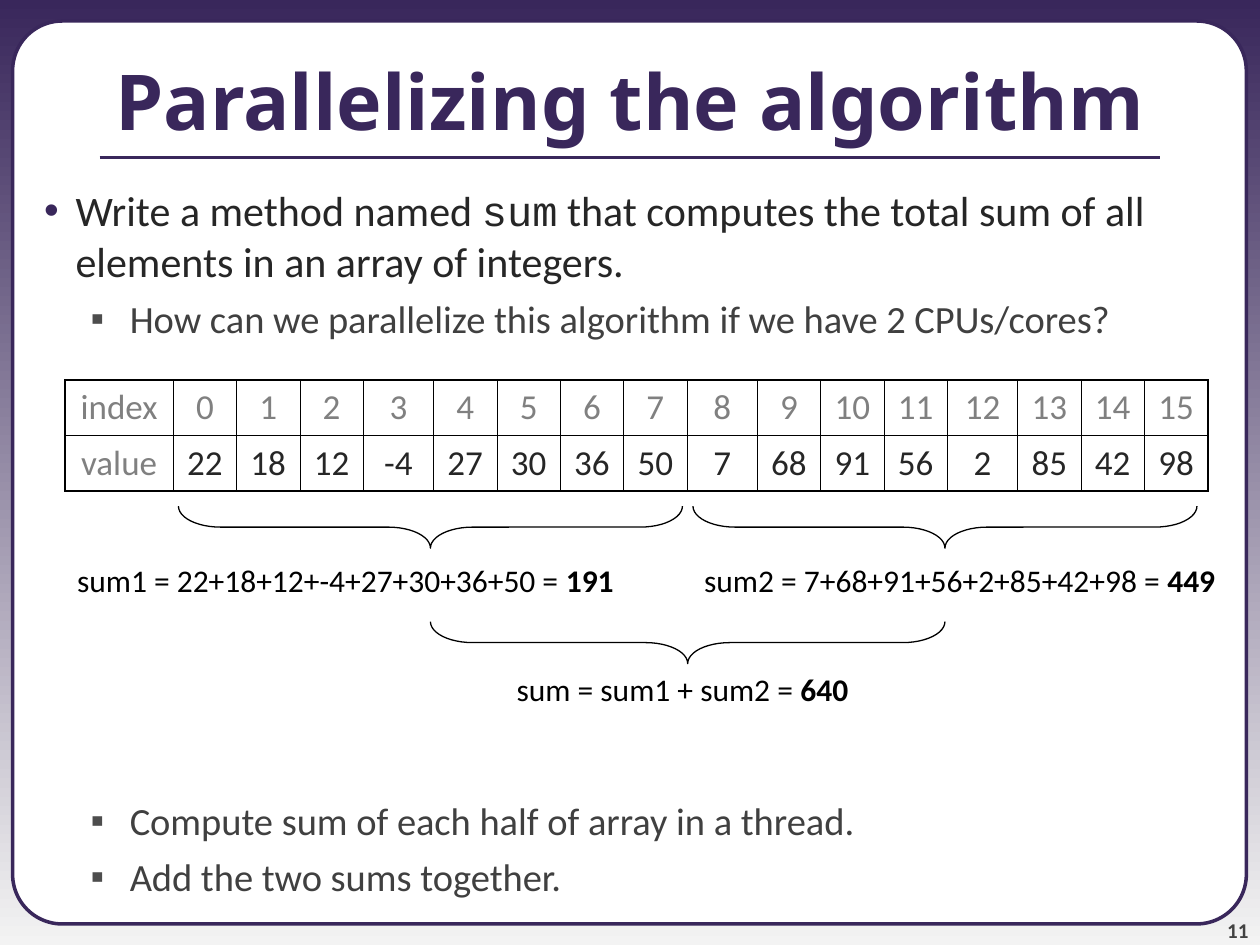
"""Build a slide that shows how an array sum is split between two threads."""
from dataclasses import dataclass

import lxml.etree
import pptx
import pptx.dml.color
import pptx.enum.shapes
import pptx.enum.text
import pptx.oxml.ns
import pptx.util

COLUMNS, ROWS = 120, 90
UNIT = pptx.util.Inches(10) / COLUMNS
COLORS = {
    "purple": "39275B", "pale": "F3F3F3", "white": "FFFFFF", "black": "000000",
    "dark": "262626", "medium": "404040", "number": "424242",
    "bullet": "4D4D4D", "gray": "808080",
}
VALUES = [22, 18, 12, -4, 27, 30, 36, 50, 7, 68, 91, 56, 2, 85, 42, 98]
WIDE_INDEXES = {3, 8, 12}
THIN, THICK = 0.45, 1.08
ALIGN = pptx.enum.text.PP_ALIGN
ANCHOR = pptx.enum.text.MSO_ANCHOR
AUTO_SIZE = pptx.enum.text.MSO_AUTO_SIZE
SHAPE = pptx.enum.shapes.MSO_SHAPE


@dataclass(frozen=True)
class Box:
    left: float
    top: float
    width: float
    height: float

    def lengths(self) -> list[int]:
        return [grid(value) for value in (self.left, self.top, self.width, self.height)]


@dataclass(frozen=True)
class BulletLevel:
    symbol: str
    symbol_color: str
    text_color: str
    size: float
    margin: float
    hanging: float


@dataclass(frozen=True)
class SumLabel:
    box: Box
    formula: str
    result: int


LEVELS = [
    BulletLevel("•", "purple", "dark", 24, 0.5, 0.25),
    BulletLevel("▪", "bullet", "medium", 22, 0.93, 0.31),
]
BRACES = [Box(17, 48.2, 48, 4), Box(66, 48.2, 48, 4), Box(41, 59.2, 49, 4)]
LABELS = [
    SumLabel(Box(5.9, 52.8, 54, 4.8), "sum1 = 22+18+12+-4+27+30+36+50 = ", 191),
    SumLabel(Box(65.4, 52.8, 52, 4.8), "sum2 = 7+68+91+56+2+85+42+98 = ", 449),
    SumLabel(Box(47.5, 63.2, 35, 4.8), "sum = sum1 + sum2 = ", 640),
]


def grid(units: float) -> int:
    return round(units * UNIT)


def rgb(name: str) -> pptx.dml.color.RGBColor:
    return pptx.dml.color.RGBColor.from_string(COLORS[name])


def write(paragraph, text: str, *, size: float, color: str, font: str = "Calibri",
          bold: bool = False, align=None, before: float = 0) -> None:
    paragraph.space_before = pptx.util.Pt(before)
    if align is not None:
        paragraph.alignment = align
    run = paragraph.add_run()
    run.text = text
    run.font.size = pptx.util.Pt(size)
    run.font.name = font
    run.font.bold = bold
    run.font.color.rgb = rgb(color)


def add_xml(parent, tag: str, **attributes: str):
    return lxml.etree.SubElement(parent, pptx.oxml.ns.qn(tag), attributes)


def place(shape, box: Box) -> None:
    shape.left, shape.top, shape.width, shape.height = box.lengths()


def add_background(slide) -> None:
    fill = slide.background.fill
    fill.gradient()
    fill.gradient_angle = 270
    for stop, position, color in zip(fill.gradient_stops, (0, 1), ("purple", "pale")):
        stop.position = position
        stop.color.rgb = rgb(color)


def add_frame(slide) -> None:
    panel = slide.shapes.add_shape(SHAPE.ROUNDED_RECTANGLE, *Box(1.2, 2, 117.5, 86).lengths())
    panel.adjustments[0] = 0.055
    panel.shadow.inherit = False
    panel.fill.solid()
    panel.fill.fore_color.rgb = rgb("white")
    panel.line.color.rgb = rgb("purple")
    panel.line.width = pptx.util.Pt(2)

    number = slide.shapes.add_textbox(*Box(109, 85, 9.9, 4.8).lengths()).text_frame
    number.margin_left = number.margin_right = number.margin_top = number.margin_bottom = 0
    number.word_wrap = True
    number.vertical_anchor = ANCHOR.BOTTOM
    write(number.paragraphs[0], "11", size=12, color="number", bold=True,
          align=ALIGN.RIGHT, before=5)

    rule = slide.shapes.add_connector(pptx.enum.shapes.MSO_CONNECTOR.STRAIGHT,
                                      grid(9.5), grid(15), grid(110.5), grid(15))
    rule.line.color.rgb = rgb("purple")
    rule.line.width = pptx.util.Pt(2.25)
    add_xml(rule._element.spPr, "a:effectLst")


def add_title(title) -> None:
    place(title, Box(0, 2, COLUMNS, 15))
    title.text_frame.vertical_anchor = ANCHOR.MIDDLE
    title.text_frame.auto_size = AUTO_SIZE.NONE
    write(title.text_frame.paragraphs[0], "Parallelizing the algorithm", size=44,
          color="purple", font="Noto Sans", bold=True, align=ALIGN.CENTER)


def add_bullet(paragraph, depth: int, parts: list[tuple[str, str]], before: float) -> None:
    level = LEVELS[depth]
    paragraph.level = depth
    for text, font in parts:
        write(paragraph, text, size=level.size, color=level.text_color, font=font, before=before)
    properties = paragraph._p.get_or_add_pPr()
    properties.set("marL", str(pptx.util.Inches(level.margin)))
    properties.set("indent", str(-pptx.util.Inches(level.hanging)))
    add_xml(add_xml(properties, "a:buClr"), "a:srgbClr", val=COLORS[level.symbol_color])
    add_xml(properties, "a:buChar", char=level.symbol)


def add_body(body) -> None:
    place(body, Box(0, 17, COLUMNS, ROWS - 17))
    frame = body.text_frame
    frame.auto_size = AUTO_SIZE.NONE
    add_bullet(frame.paragraphs[0], 0, [
        ("Write a method named ", "Calibri"), ("sum", "Courier New"),
        (" that computes the total sum of all elements in an array of integers.", "Calibri"),
    ], before=6)
    for text, before in [
        ("How can we parallelize this algorithm if we have 2 CPUs/cores?", 5.5),
        ("Compute sum of each half of array in a thread.", 260.5),
        ("Add the two sums together.", 5.5),
    ]:
        add_bullet(frame.add_paragraph(), 1, [(text, "Calibri")], before)


def set_borders(cell, widths: dict[str, float]) -> None:
    properties = cell._tc.get_or_add_tcPr()
    for side, width in widths.items():
        line = add_xml(properties, f"a:ln{side}", w=str(pptx.util.Pt(width)))
        add_xml(add_xml(line, "a:solidFill"), "a:srgbClr", val=COLORS["black"])
    cell.fill.background()


def add_array_table(slide) -> None:
    rows = [["index", *range(len(VALUES))], ["value", *VALUES]]
    last = len(VALUES)
    box = Box(6.2, 36.2, 108.84, 10.5)
    first, wide = 10.3, 6.7
    narrow = (box.width - first - wide * len(WIDE_INDEXES)) / (last - len(WIDE_INDEXES))
    table = slide.shapes.add_table(len(rows), last + 1, *box.lengths()).table
    table.first_row = table.horz_banding = False
    widths = [first] + [wide if index in WIDE_INDEXES else narrow for index in range(last)]
    for column, width in zip(table.columns, widths):
        column.width = grid(width)
    for row, entries in enumerate(rows):
        for column, entry in enumerate(entries):
            cell = table.cell(row, column)
            write(cell.text_frame.paragraphs[0], str(entry), size=20, align=ALIGN.CENTER,
                  color="dark" if row and column else "gray", before=5)
            edges = {"L": column == 0, "R": column == last, "T": row == 0, "B": row == 1}
            set_borders(cell, {side: THICK if outer else THIN for side, outer in edges.items()})


def add_brace(slide, box: Box) -> None:
    upright = Box(box.left + (box.width - box.height) / 2,
                  box.top + (box.height - box.width) / 2, box.height, box.width)
    brace = slide.shapes.add_shape(SHAPE.LEFT_BRACE, *upright.lengths())
    brace.rotation = 270
    brace.adjustments[0] = 1
    brace.shadow.inherit = False
    brace.fill.background()
    brace.line.color.rgb = rgb("black")
    brace.line.width = pptx.util.Pt(0.75)


def add_label(slide, label: SumLabel) -> None:
    frame = slide.shapes.add_textbox(*label.box.lengths()).text_frame
    frame.word_wrap = False
    frame.auto_size = AUTO_SIZE.SHAPE_TO_FIT_TEXT
    for text, bold in ((label.formula, False), (str(label.result), True)):
        write(frame.paragraphs[0], text, size=18, color="black", bold=bold, align=ALIGN.CENTER)


def main() -> None:
    presentation = pptx.Presentation()
    presentation.slide_width, presentation.slide_height = grid(COLUMNS), grid(ROWS)
    slide = presentation.slides.add_slide(presentation.slide_layouts[1])
    title, body = slide.placeholders
    add_background(slide)
    add_frame(slide)
    add_title(title)
    add_body(body)
    for placeholder in (title, body):
        slide.shapes._spTree.append(placeholder._element)
    add_array_table(slide)
    for brace in BRACES:
        add_brace(slide, brace)
    for label in LABELS:
        add_label(slide, label)
    presentation.save("out.pptx")


if __name__ == "__main__":
    main()
